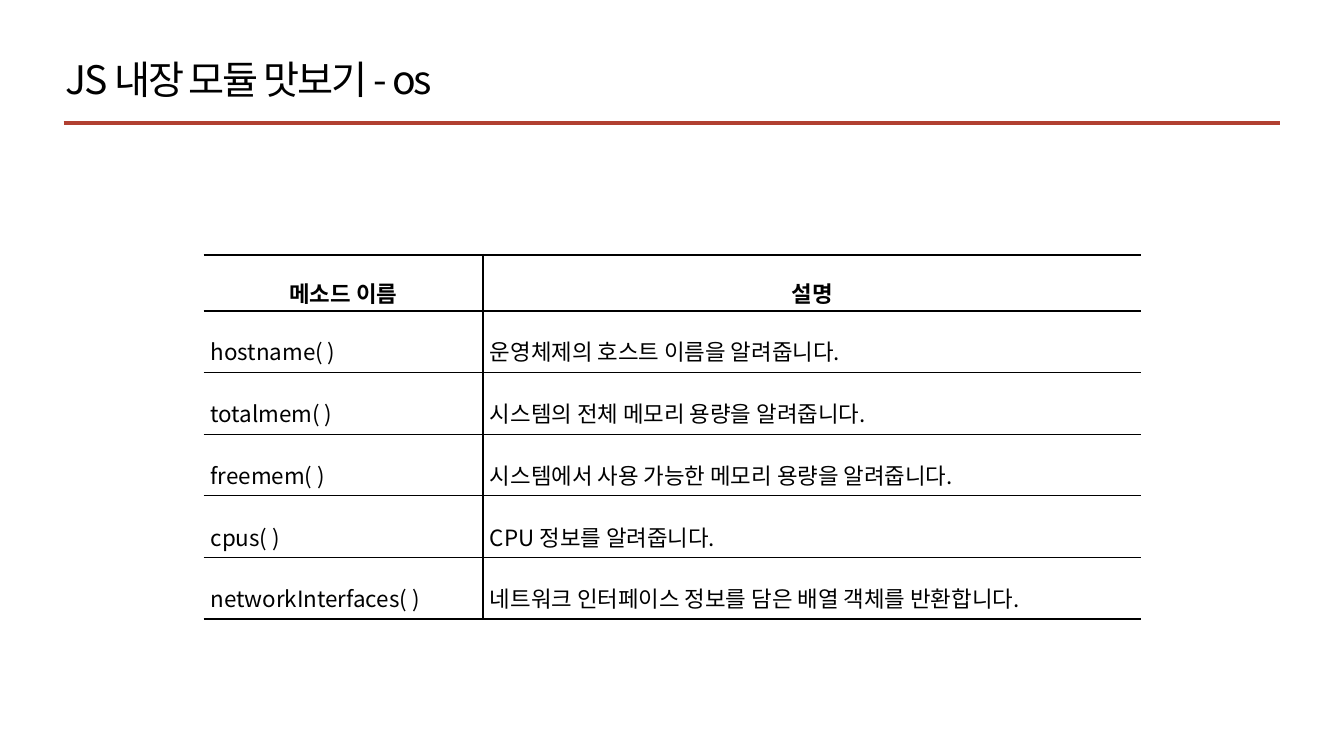
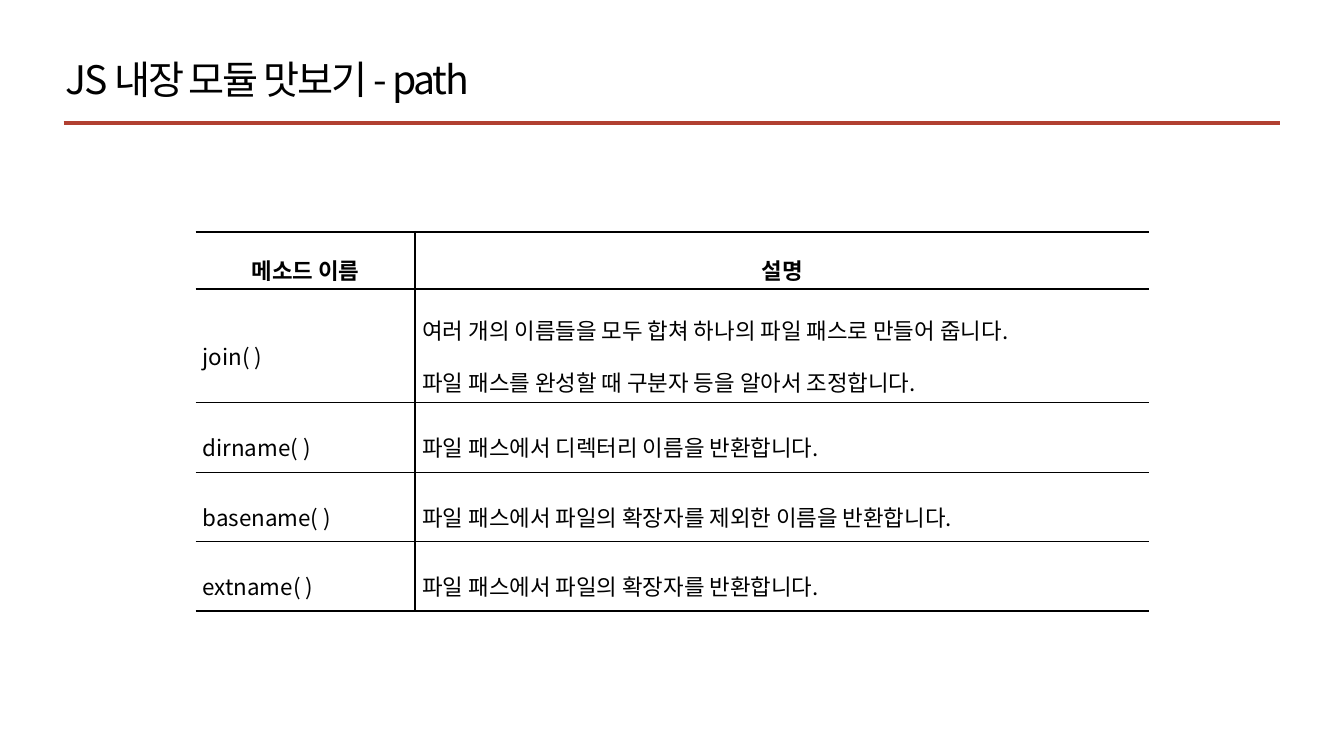
import dataclasses
import lxml.etree
import pptx
import pptx.dml.color
import pptx.enum.shapes
import pptx.enum.text
import pptx.oxml.ns
import pptx.util

Inches, Pt = pptx.util.Inches, pptx.util.Pt
Align, Anchor = pptx.enum.text.PP_ALIGN, pptx.enum.text.MSO_ANCHOR
qn = pptx.oxml.ns.qn


@dataclasses.dataclass
class Theme:
    font: str = "Noto Sans CJK KR"
    ink: str = "000000"
    red: str = "B14031"
    title: int = 28
    body: int = 16
    thick: float = 1.7
    thin: float = 0.56


theme = Theme()


def style(par, size, bold=False, spacing=None):
    """Format every run of a paragraph, with the font for Korean text too."""
    for run in par.runs:
        font = run.font
        font.size, font.bold, font.name = Pt(size), bold, theme.font
        font.color.rgb = pptx.dml.color.RGBColor.from_string(theme.ink)
        props = run._r.get_or_add_rPr()
        lxml.etree.SubElement(props, qn("a:ea"), typeface=theme.font)
        if spacing is not None:
            props.set("spc", str(int(spacing * 100)))


def border(cell, widths):
    """Set left, right, top and bottom borders; a zero width hides one."""
    props = cell._tc.get_or_add_tcPr()
    for i, (side, width) in enumerate(zip("LRTB", widths)):
        line = lxml.etree.Element(qn("a:ln" + side), w=str(int(Pt(width))))
        if width:
            fill = lxml.etree.SubElement(line, qn("a:solidFill"))
            lxml.etree.SubElement(fill, qn("a:srgbClr"), val=theme.ink)
        else:
            lxml.etree.SubElement(line, qn("a:noFill"))
        props.insert(i, line)


# Content: one entry per slide
head = ("메소드 이름", "설명")
pages = [
    dict(
        name="os", left=2.02, top=2.53, cols=(2.77, 6.53),
        heights=[0.51] + [0.61] * 5,
        rows=[
            head,
            ("hostname( )", "운영체제의 호스트 이름을 알려줍니다."),
            ("totalmem( )", "시스템의 전체 메모리 용량을 알려줍니다."),
            ("freemem( )", "시스템에서 사용 가능한 메모리 용량을 알려줍니다."),
            ("cpus( )", "CPU 정보를 알려줍니다."),
            ("networkInterfaces( )",
             "네트워크 인터페이스 정보를 담은 배열 객체를 반환합니다."),
        ],
    ),
    dict(
        name="path", left=1.94, top=2.3, cols=(2.18, 7.28),
        heights=[0.57, 1.09] + [0.69] * 3,
        rows=[
            head,
            ("join( )",
             "여러 개의 이름들을 모두 합쳐 하나의 파일 패스로 만들어 줍니다.\n"
             "파일 패스를 완성할 때 구분자 등을 알아서 조정합니다."),
            ("dirname( )", "파일 패스에서 디렉터리 이름을 반환합니다."),
            ("basename( )", "파일 패스에서 파일의 확장자를 제외한 이름을 반환합니다."),
            ("extname( )", "파일 패스에서 파일의 확장자를 반환합니다."),
        ],
    ),
]

deck = pptx.Presentation()
deck.slide_width, deck.slide_height = Inches(13.33), Inches(7.5)
layout = deck.slide_layouts[5]

# Shared title position
spot = layout.placeholders[0]
spot.left, spot.top = Inches(0.55), Inches(0.5)
spot.width, spot.height = Inches(9.79), Inches(0.57)

for page in pages:
    slide = deck.slides.add_slide(layout)

    # Title
    frame = slide.shapes.title.text_frame
    frame.text = "JS 내장 모듈 맛보기 - " + page["name"]
    frame.word_wrap = True
    frame.auto_size = pptx.enum.text.MSO_AUTO_SIZE.NONE
    frame.vertical_anchor = Anchor.MIDDLE
    frame.paragraphs[0].alignment = Align.LEFT
    style(frame.paragraphs[0], theme.title, spacing=-1.5)

    # Rule under the title
    rule = slide.shapes.add_connector(
        pptx.enum.shapes.MSO_CONNECTOR.STRAIGHT,
        Inches(0.63), Inches(1.22), Inches(12.7), Inches(1.22))
    rule.line.color.rgb = pptx.dml.color.RGBColor.from_string(theme.red)
    rule.line.width = Pt(3)
    lxml.etree.SubElement(rule._element.spPr, qn("a:effectLst"))

    # Table grid
    rows, cols, heights = page["rows"], page["cols"], page["heights"]
    table = slide.shapes.add_table(
        len(rows), len(cols), Inches(page["left"]), Inches(page["top"]),
        Inches(sum(cols)), Inches(sum(heights))).table
    table.first_row = table.horz_banding = False
    for col, width in zip(table.columns, cols):
        col.width = Inches(width)
    for row, height in zip(table.rows, heights):
        row.height = Inches(height)

    # Table cells
    for r, row in enumerate(rows):
        top = theme.thick if r < 2 else theme.thin
        low = theme.thick if r in (0, len(rows) - 1) else theme.thin
        for c, text in enumerate(row):
            cell = table.cell(r, c)
            cell.text_frame.text = text
            cell.fill.background()
            cell.vertical_anchor = Anchor.MIDDLE
            cell.margin_left = cell.margin_right = Inches(0.07)
            cell.margin_top = cell.margin_bottom = Inches(0.05 if r else 0.02)
            for par in cell.text_frame.paragraphs:
                par.alignment = Align.JUSTIFY if r else Align.CENTER
                par.line_spacing = 1.6
                style(par, theme.body, bold=r == 0)
            sides = (theme.thick, 0) if c else (0, theme.thick)
            border(cell, sides + (top, low))

deck.save("out.pptx")
